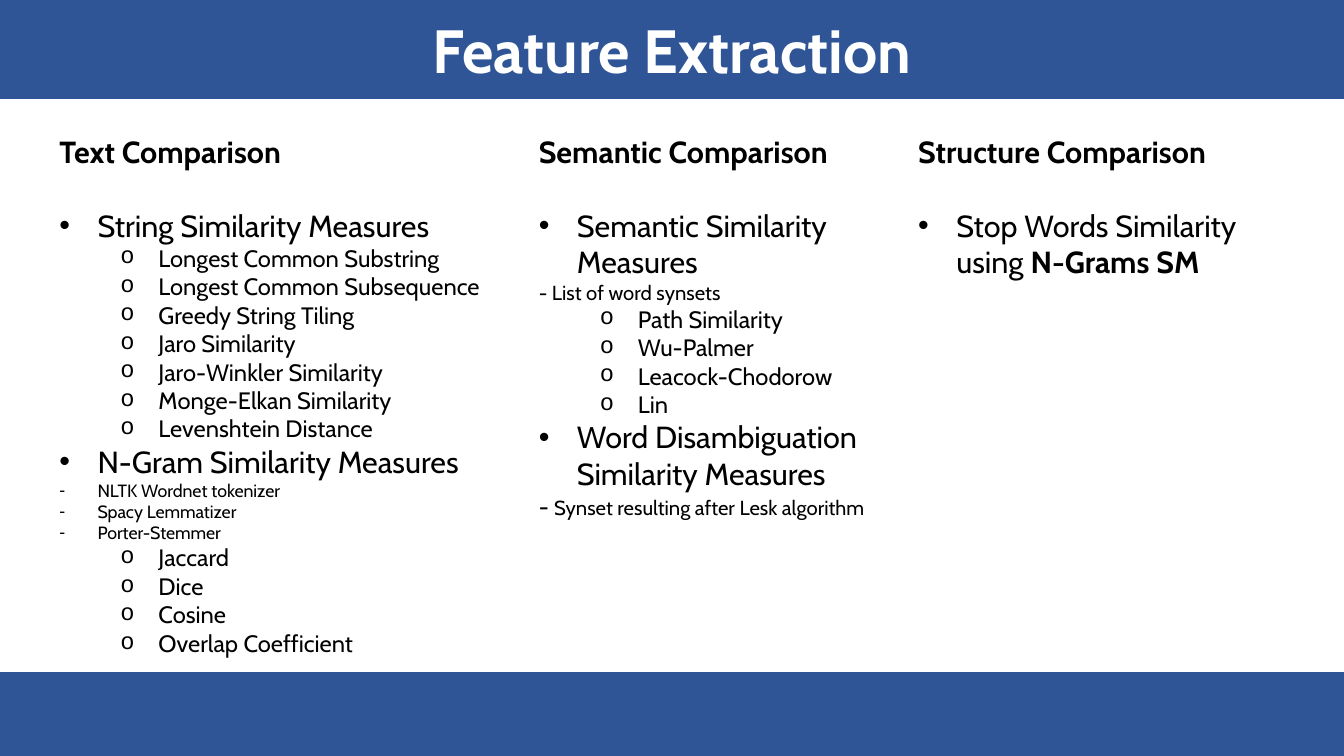
from dataclasses import dataclass

from lxml import etree
from pptx import Presentation
from pptx.dml.color import RGBColor
from pptx.enum import shapes, text
from pptx.oxml import ns
from pptx.util import Pt


@dataclass(frozen=True)
class Theme:
    font: str = "Cabin"
    blue: RGBColor = RGBColor(0x2F, 0x55, 0x97)
    white: RGBColor = RGBColor(255, 255, 255)
    black: RGBColor = RGBColor(0, 0, 0)
    title: float = 36
    head: float = 18
    item: float = 14
    note: float = 12
    small: float = 10.5


T = Theme()
WIDE, HIGH = 793.44, 446.4
HANG = 22.5

# Paragraph kinds: size, left margin, bullet, bullet font, level
KINDS = {
    "main": (T.head, HANG, "•", "Arial", 0),
    "sub": (T.item, HANG + 36, "o", "Courier New", 1),
    "dash": (T.small, HANG, "-", "Arial", 0),
    "note": (T.note, 0, None, None, 0),
}

# Columns: left, width, height, heading, groups of (kind, lines)
COLUMNS = [
    (28, 285, 353.5, "Text Comparison", [
        ("main", ["String Similarity Measures"]),
        ("sub", ["Longest Common Substring", "Longest Common Subsequence",
                 "Greedy String Tiling", "Jaro Similarity",
                 "Jaro-Winkler Similarity", "Monge-Elkan Similarity",
                 "Levenshtein Distance"]),
        ("main", ["N-Gram Similarity Measures"]),
        ("dash", ["NLTK Wordnet tokenizer", "Spacy Lemmatizer",
                  "Porter-Stemmer"]),
        ("sub", ["Jaccard", "Dice", "Cosine", "Overlap Coefficient"]),
    ]),
    (311, 223, 264, "Semantic Comparison", [
        ("main", ["Semantic Similarity Measures"]),
        ("note", ["- List of word synsets"]),
        ("sub", ["Path Similarity", "Wu-Palmer", "Leacock-Chodorow", "Lin"]),
        ("main", ["Word Disambiguation Similarity Measures"]),
        ("note", [[("- ", T.item, False),
                   ("Synset resulting after Lesk algorithm", T.note, False)]]),
    ]),
    (535, 218, 116.5, "Structure Comparison", [
        ("main", [[("Stop Words Similarity using ", T.head, False),
                   ("N-Grams SM", T.head, True)]]),
    ]),
]


def style(font, size, color=T.black, bold=False):
    font.name, font.size, font.bold = T.font, Pt(size), bold
    font.color.rgb = color


def bar(slide, left, top, width, height):
    box = slide.shapes.add_shape(shapes.MSO_SHAPE.RECTANGLE,
                                 Pt(left), Pt(top), Pt(width), Pt(height))
    box.shadow.inherit = False
    box.fill.solid()
    box.fill.fore_color.rgb = T.blue
    box.line.color.rgb = T.blue
    box.line.width = Pt(1)


def header(slide, left, top, width, height, words):
    bar(slide, left, top, width, height)
    title = slide.shapes.title
    title.left, title.top = Pt(left + 28), Pt(top + 7)
    title.width, title.height = Pt(width - 56), Pt(height - 14)
    frame = title.text_frame
    frame.auto_size = text.MSO_AUTO_SIZE.NONE
    frame.vertical_anchor = text.MSO_ANCHOR.MIDDLE
    frame.margin_left = frame.margin_right = 0
    frame.margin_top = frame.margin_bottom = 0
    frame.text = words
    para = frame.paragraphs[0]
    para.alignment = text.PP_ALIGN.CENTER
    style(para.font, T.title, T.white, True)
    # Bring the title in front of its bar
    slide.shapes._spTree.append(title._element)


def bullet(para, mark, face, margin):
    props = para._p.get_or_add_pPr()
    props.set("marL", str(Pt(margin)))
    props.set("indent", str(-Pt(HANG)))
    etree.SubElement(props, ns.qn("a:buFont")).set("typeface", face)
    etree.SubElement(props, ns.qn("a:buChar")).set("char", mark)


def entry(frame, kind, words):
    size, margin, mark, face, level = KINDS[kind]
    para = frame.add_paragraph()
    para.level = level
    if mark:
        bullet(para, mark, face, margin)
    if isinstance(words, str):
        para.text = words
        style(para.font, size)
        return
    for part, points, bold in words:
        run = para.add_run()
        run.text = part
        style(run.font, points, bold=bold)


def column(slide, left, top, width, height, heading, groups):
    box = slide.shapes.add_textbox(Pt(left), Pt(top), Pt(width), Pt(height))
    frame = box.text_frame
    frame.word_wrap = True
    para = frame.paragraphs[0]
    para.text = heading
    para.space_after = Pt(22)
    style(para.font, T.head, bold=True)
    for kind, lines in groups:
        for words in lines:
            entry(frame, kind, words)


def main():
    deck = Presentation()
    deck.slide_width, deck.slide_height = Pt(WIDE), Pt(HIGH)
    slide = deck.slides.add_slide(deck.slide_layouts[5])

    # Title band and footer band
    header(slide, 0, 0, WIDE, 58, "Feature Extraction")
    bar(slide, -5, HIGH - 49, WIDE + 5, 49)

    # Three comparison columns
    for left, width, height, heading, groups in COLUMNS:
        column(slide, left, 75, width, height, heading, groups)

    deck.save("out.pptx")


if __name__ == "__main__":
    main()
